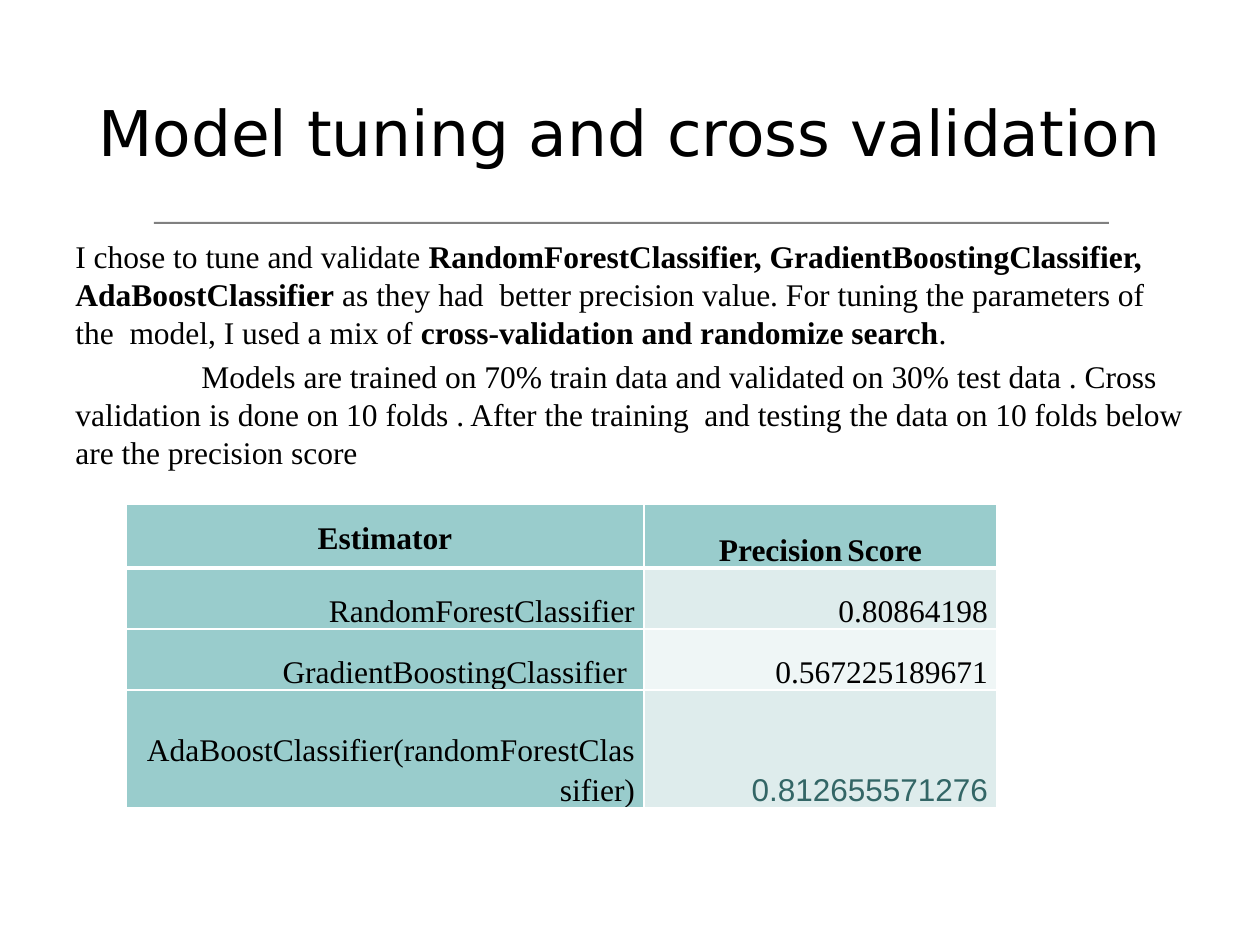
from dataclasses import dataclass

from lxml.etree import SubElement
from pptx import Presentation
from pptx.dml.color import RGBColor
from pptx.enum.shapes import MSO_SHAPE
from pptx.enum.text import MSO_ANCHOR, PP_ALIGN
from pptx.oxml.ns import qn
from pptx.util import Emu, Pt

PX = 914400 // 126
BLACK = RGBColor(0x00, 0x00, 0x00)
WHITE = RGBColor(0xFF, 0xFF, 0xFF)
RULE_GRAY = RGBColor(0x80, 0x80, 0x80)
TEXT_GRAY = RGBColor(0x5F, 0x5F, 0x5F)
DARK_TEAL = RGBColor(0x33, 0x66, 0x66)
TEAL = RGBColor(0x99, 0xCC, 0xCC)
PALE = RGBColor(0xDE, 0xEC, 0xEC)
PALER = RGBColor(0xEF, 0xF6, 0xF6)
SERIF = "Times New Roman"


@dataclass
class Score:
    """One estimator row of the table."""
    estimator: str
    value: str
    fill: RGBColor
    height: int
    font: str = SERIF
    color: RGBColor = BLACK


SCORES = [
    Score("RandomForestClassifier", "0.80864198", PALE, 61),
    Score("GradientBoostingClassifier ", "0.567225189671", PALER, 61),
    Score("AdaBoostClassifier(randomForestClassifier)", "0.812655571276",
          PALE, 118, "Arial", DARK_TEAL),
]
HEADER_HEIGHT = 64
COLUMN_WIDTHS = (518, 353)


def px(n: int) -> Emu:
    """Turn whole pixels into EMU."""
    return Emu(n * PX)


def add_text(p, text: str, *, size: int = 18, font: str = SERIF,
             color: RGBColor = BLACK, bold: bool = False) -> None:
    """Append a formatted run to a paragraph."""
    r = p.add_run()
    r.text = text
    r.font.size = Pt(size)
    r.font.name = font
    r.font.color.rgb = color
    r.font.bold = bold


def add_box(s, x: int, y: int, w: int, h: int, anchor: MSO_ANCHOR):
    """Add a wrapping text box and return its text frame."""
    tf = s.shapes.add_textbox(px(x), px(y), px(w), px(h)).text_frame
    tf.word_wrap = True
    tf.vertical_anchor = anchor
    return tf


def add_border(cell, bottom: int) -> None:
    """Give a cell white edges, the bottom one in its own width."""
    tc_pr = cell._tc.get_or_add_tcPr()
    widths = {"a:lnL": 1, "a:lnR": 1, "a:lnT": 1, "a:lnB": bottom}
    for i, (tag, width) in enumerate(widths.items()):
        ln = SubElement(tc_pr, qn(tag), w=str(Pt(width)))
        fill = SubElement(ln, qn("a:solidFill"))
        SubElement(fill, qn("a:srgbClr"), val=str(WHITE))
        tc_pr.insert(i, ln)


def format_cell(cell, fill: RGBColor, align: PP_ALIGN,
                anchor: MSO_ANCHOR = MSO_ANCHOR.BOTTOM, bottom: int = 1):
    """Style a cell and return its paragraph."""
    cell.fill.solid()
    cell.fill.fore_color.rgb = fill
    cell.margin_left = cell.margin_right = px(9)
    cell.margin_top = cell.margin_bottom = 0
    cell.vertical_anchor = anchor
    add_border(cell, bottom)
    p = cell.text_frame.paragraphs[0]
    p.alignment = align
    p.line_spacing = 1.15
    return p


def add_score_table(s) -> None:
    """Draw the table of precision scores."""
    heights = [HEADER_HEIGHT] + [score.height for score in SCORES]
    table = s.shapes.add_table(len(heights), len(COLUMN_WIDTHS), px(126), px(504),
                               px(sum(COLUMN_WIDTHS)), px(sum(heights))).table
    for column, width in zip(table.columns, COLUMN_WIDTHS):
        column.width = px(width)
    for row, height in zip(table.rows, heights):
        row.height = px(height)

    p = format_cell(table.cell(0, 0), TEAL, PP_ALIGN.CENTER, MSO_ANCHOR.MIDDLE, bottom=3)
    add_text(p, "Estimator", bold=True)
    p = format_cell(table.cell(0, 1), TEAL, PP_ALIGN.CENTER, bottom=3)
    add_text(p, "Precision", bold=True)
    add_text(p, " ", size=11, color=TEXT_GRAY, bold=True)
    add_text(p, "Score", bold=True)

    for i, score in enumerate(SCORES, start=1):
        p = format_cell(table.cell(i, 0), TEAL, PP_ALIGN.RIGHT)
        add_text(p, score.estimator)
        p = format_cell(table.cell(i, 1), score.fill, PP_ALIGN.RIGHT)
        add_text(p, score.value, font=score.font, color=score.color)


def add_body(s) -> None:
    """Write the two paragraphs on method."""
    tf = add_box(s, 63, 231, 1134, 640, MSO_ANCHOR.TOP)
    method, training = tf.paragraphs[0], tf.add_paragraph()
    for p in (method, training):
        p.space_before = Pt(3.6)
    add_text(method, "I chose to tune and validate ")
    add_text(method, "RandomForestClassifier, GradientBoostingClassifier,  "
                     "AdaBoostClassifier", bold=True)
    add_text(method, " as they had  better precision value. For tuning the parameters "
                     "of the  model, I used a mix of ")
    add_text(method, "cross-validation and randomize search", bold=True)
    add_text(method, ".")
    training._p.get_or_add_pPr().set("indent", str(px(126)))
    add_text(training, "Models are trained on 70% train data and validated on 30% test "
                       "data . Cross validation is done on 10 folds . After the training  "
                       "and testing the data on 10 folds below are the precision score")


def add_title(s) -> None:
    """Write the title and the rule below it."""
    rule = s.shapes.add_shape(MSO_SHAPE.RECTANGLE, px(154), px(222), px(955), px(2))
    rule.shadow.inherit = False
    rule.fill.solid()
    rule.fill.fore_color.rgb = RULE_GRAY
    rule.line.fill.background()
    p = add_box(s, 0, 32, 1260, 199, MSO_ANCHOR.MIDDLE).paragraphs[0]
    p.alignment = PP_ALIGN.CENTER
    add_text(p, "Model tuning and cross validation", size=36, font="DejaVu Sans")


def main() -> None:
    """Build and save the slide."""
    prs = Presentation()
    prs.slide_width, prs.slide_height = px(1260), px(945)
    s = prs.slides.add_slide(prs.slide_layouts[6])
    add_title(s)
    add_body(s)
    add_score_table(s)
    prs.save("out.pptx")


main()
